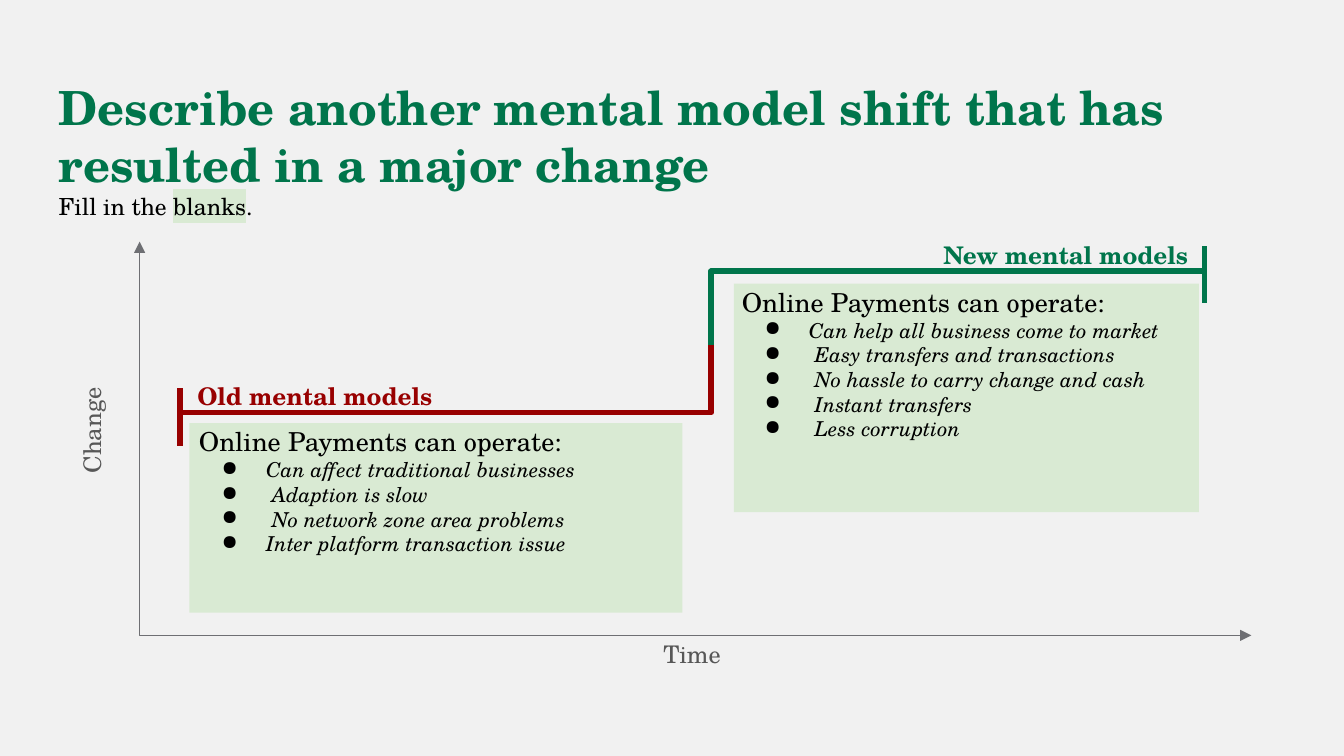
"""Build a slide that charts a mental model shift as a step from old to new."""
from lxml import etree
from pptx import Presentation
from pptx.dml.color import RGBColor
from pptx.enum.shapes import MSO_CONNECTOR, MSO_SHAPE
from pptx.enum.text import MSO_ANCHOR, MSO_AUTO_SIZE, PP_ALIGN
from pptx.oxml.ns import qn
from pptx.util import Cm, Pt

STRAIGHT, ELBOW = MSO_CONNECTOR.STRAIGHT, MSO_CONNECTOR.ELBOW
RECTANGLE = MSO_SHAPE.RECTANGLE
TOP, MIDDLE = MSO_ANCHOR.TOP, MSO_ANCHOR.MIDDLE
LEFT, RIGHT = PP_ALIGN.LEFT, PP_ALIGN.RIGHT
NO_FIT = MSO_AUTO_SIZE.NONE

FONT = "TeX Gyre Schola"
BACKGROUND = RGBColor(0xF1, 0xF1, 0xF1)
PALE_GREEN = RGBColor(0xD9, 0xEA, 0xD3)
GREEN = RGBColor(0x00, 0x75, 0x4B)
RED = RGBColor(0x98, 0x00, 0x00)
BLACK = RGBColor(0x00, 0x00, 0x00)
AXIS_GRAY = RGBColor(0x6E, 0x6F, 0x73)
LABEL_GRAY = RGBColor(0x57, 0x57, 0x57)


def add_span(para, text, size, color=BLACK, bold=False, italic=False, highlight=None):
    span = para.add_run()
    span.text = text
    span.font.name = FONT
    span.font.size = Pt(size)
    span.font.bold = bold
    span.font.italic = italic
    span.font.color.rgb = color
    if highlight is not None:
        mark = etree.Element(qn("a:highlight"))
        etree.SubElement(mark, qn("a:srgbClr"), val=str(highlight))
        span.font.fill._xPr.find(qn("a:solidFill")).addnext(mark)


def set_frame(frame, inset_x, inset_y, anchor=TOP):
    frame.word_wrap = True
    frame.auto_size = NO_FIT
    frame.vertical_anchor = anchor
    frame.margin_left = frame.margin_right = Cm(inset_x)
    frame.margin_top = frame.margin_bottom = Cm(inset_y)


deck = Presentation()
deck.slide_width, deck.slide_height = Cm(25.4), Cm(14.29)
page = deck.slides.add_slide(deck.slide_layouts[5])
page.background.fill.solid()
page.background.fill.fore_color.rgb = BACKGROUND

for left, top, width, height in [(3.58, 8, 9.32, 3.58), (13.87, 5.36, 8.79, 4.32)]:
    panel = page.shapes.add_shape(RECTANGLE, Cm(left), Cm(top), Cm(width), Cm(height))
    panel.shadow.inherit = False
    panel.fill.solid()
    panel.fill.fore_color.rgb = PALE_GREEN
    panel.line.fill.background()

title = page.shapes.title
title.left, title.top, title.width, title.height = Cm(0.86), Cm(1.24), Cm(23.67), Cm(1.6)
set_frame(title.text_frame, 0.25, 0.25)
heading = title.text_frame.paragraphs[0]
heading.alignment = LEFT
add_span(heading, "Describe another mental model shift that has resulted in a major change",
         size=25.2, color=GREEN, bold=True)
prompt = title.text_frame.add_paragraph()
prompt.alignment = LEFT
add_span(prompt, "Fill in the ", size=12.6)
add_span(prompt, "blanks", size=12.6, highlight=PALE_GREEN)
add_span(prompt, ".", size=12.6)

builder = page.shapes.build_freeform(Cm(2.64), Cm(4.57))
builder.add_line_segments([(Cm(2.64), Cm(12.01)), (Cm(23.65), Cm(12.01))], close=False)
axes = builder.convert_to_shape()
axes.shadow.inherit = False
axes.fill.background()
axes.line.color.rgb = AXIS_GRAY
axes.line.width = Pt(0.75)
for arrow_end in ("a:headEnd", "a:tailEnd"):
    etree.SubElement(axes.line._ln, qn(arrow_end), type="triangle")

step_lines = [
    (STRAIGHT, 22.76, 4.65, 22.76, 5.72, GREEN, None),
    (STRAIGHT, 3.4, 7.34, 3.4, 8.43, RED, None),
    (ELBOW, 13.44, 6.68, 22.76, 5.13, GREEN, 0),
    (ELBOW, 3.45, 7.8, 13.44, 6.53, RED, 100000),
]
for kind, from_x, from_y, to_x, to_y, color, bend in step_lines:
    line = page.shapes.add_connector(kind, Cm(from_x), Cm(from_y), Cm(to_x), Cm(to_y))
    line.line.color.rgb = color
    line.line.width = Pt(3)
    properties = line._element.spPr
    etree.SubElement(properties, qn("a:effectLst"))
    if bend is not None:
        guides = properties.find(qn("a:prstGeom")).get_or_add_avLst()
        etree.SubElement(guides, qn("a:gd"), name="adj1", fmla=f"val {bend}")

labels = [
    ("New mental models", 13.61, 4.45, 9.09, 0.61, GREEN, True, RIGHT, 0),
    ("Old mental models", 3.48, 7.11, 9.73, 0.94, RED, True, LEFT, 0),
    ("Change", 0.69, 8.13, 2.13, 0.53, LABEL_GRAY, False, RIGHT, 270),
    ("Time", 11.79, 12.12, 1.83, 0.53, LABEL_GRAY, False, RIGHT, 0),
]
for text, left, top, width, height, color, is_model, alignment, turn in labels:
    box = page.shapes.add_textbox(Cm(left), Cm(top), Cm(width), Cm(height))
    box.rotation = turn
    if is_model:
        set_frame(box.text_frame, 0.25, 0.13)
    else:
        set_frame(box.text_frame, 0, 0, MIDDLE)
    para = box.text_frame.paragraphs[0]
    para.alignment = alignment
    para.line_spacing = 0.96
    add_span(para, text, size=13, color=color, bold=is_model)

effect_lists = [
    (3.51, 7.8, 3, [
        "Can affect traditional businesses",
        " Adaption is slow",
        " No network zone area problems",
        "Inter platform transaction issue",
    ]),
    (13.77, 5.16, 3.45, [
        "Can help all business come to market",
        " Easy transfers and transactions",
        " No hassle to carry change and cash",
        " Instant transfers",
        " Less corruption",
    ]),
]
for left, top, height, effects in effect_lists:
    box = page.shapes.add_textbox(Cm(left), Cm(top), Cm(8.89), Cm(height))
    set_frame(box.text_frame, 0.25, 0.25)
    add_span(box.text_frame.paragraphs[0], "Online Payments can operate:", size=14)
    for effect in effects:
        para = box.text_frame.add_paragraph()
        layout = para._p.get_or_add_pPr()
        layout.set("marL", str(Cm(1.27)))
        layout.set("indent", str(-Cm(0.84)))
        bullet_color = etree.SubElement(layout, qn("a:buClr"))
        etree.SubElement(bullet_color, qn("a:srgbClr"), val=str(BLACK))
        etree.SubElement(layout, qn("a:buChar"), char="●")
        add_span(para, effect, size=11, italic=True)

deck.save("out.pptx")
